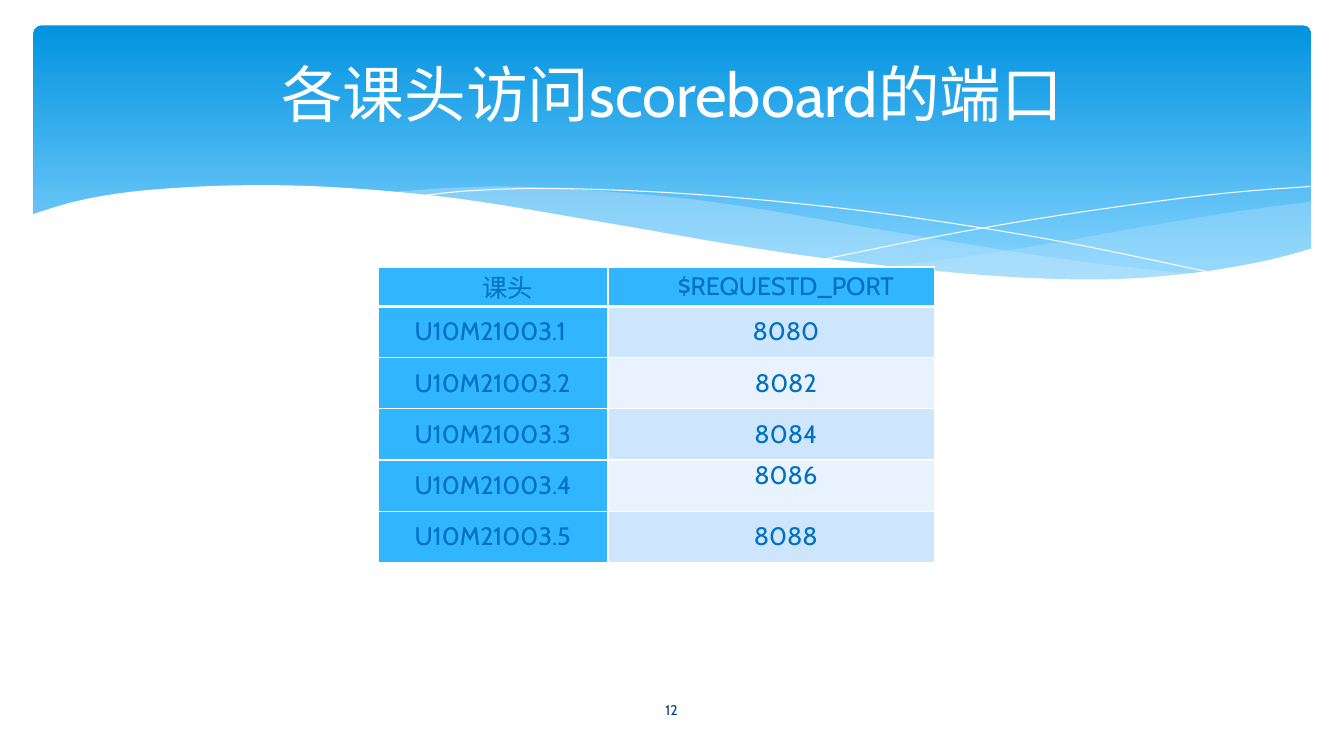
from lxml.etree import SubElement
from pptx import Presentation
from pptx.dml.color import RGBColor
from pptx.enum.shapes import MSO_SHAPE as Preset
from pptx.enum.text import MSO_ANCHOR as Anchor, PP_ALIGN as Align
from pptx.oxml.ns import qn
from pptx.util import Cm, Pt

FONT = "Cabin"
WHITE = RGBColor(0xFF, 0xFF, 0xFF)
BANNER_TOP = RGBColor(0x02, 0x93, 0xE0)
BANNER_BOTTOM = RGBColor(0x83, 0xD3, 0xFE)
SWELL = RGBColor(0xC6, 0xE7, 0xFC)
PORT_TEXT = RGBColor(0x00, 0x70, 0xC0)
NUMBER_TEXT = RGBColor(0x07, 0x3E, 0x87)
COURSE_FILL = RGBColor(0x31, 0xB6, 0xFD)
BANDS = (RGBColor(0xE8, 0xF3, 0xFF), RGBColor(0xCE, 0xE5, 0xFE))

TITLE = "各课头访问scoreboard的端口"
PAGE_NUMBER = "12"
PORTS = [
    ("课头", "$REQUESTD_PORT"),
    ("U10M21003.1", "8080"),
    ("U10M21003.2", "8082"),
    ("U10M21003.3", "8084"),
    ("U10M21003.4", "8086"),
    ("U10M21003.5", "8088"),
]
TOP_ANCHORED = "8086"
COLUMN_WIDTHS = (5.79, 8.23)
HEADER_HEIGHT, ROW_HEIGHT = 0.99, 1.29

RIGHT_SWELL = [
    [(33.05, 5.08), (31.17, 5.33), (29.13, 5.66), (26.37, 6.15), (23.9, 6.53), (22.4, 6.73)],
    [(22.4, 6.73), (24.33, 6.88), (26.82, 7.04), (28.9, 7.04), (30.66, 6.83),
     (32.16, 6.53), (33.05, 6.27)],
]
LEFT_SWELL = [
    [(30.23, 6.93), (27.33, 6.6), (25.12, 6.27), (21.31, 5.64), (18.8, 5.21),
     (16.56, 4.93), (13.51, 4.72), (11.66, 4.72), (9.7, 4.85)],
    [(9.7, 4.85), (12.27, 5.16), (15.21, 5.64), (19.18, 6.3), (22.53, 6.76),
     (25.35, 7.01), (27.69, 7.06), (30.23, 6.93)],
]
FALLING_LINE = [
    [(10.46, 4.95), (11.94, 4.8), (14.1, 4.75), (17.27, 4.88), (20.6, 5.18),
     (23.55, 5.56), (26.92, 6.12), (30.73, 6.91)],
]
RISING_LINE = [
    [(20.78, 6.53), (23.55, 5.97), (26.29, 5.49), (29.34, 5.05), (31.29, 4.83), (33.02, 4.7)],
]
WHITE_WAVE = [
    [(33.1, 6.25), (31.85, 6.58), (30.05, 6.88), (27.86, 7.04), (25.2, 6.96),
     (21.92, 6.65), (18.8, 6.22), (15.14, 5.59), (11.51, 5.0), (8.46, 4.72),
     (5.97, 4.67), (3.61, 4.8), (2.01, 5.05), (0.79, 5.41)],
    [(0.79, 8.36), (33.1, 8.36)],
]
STEPS = 6


def smooth(knots):
    padded = [knots[0], *knots, knots[-1]]
    for a, b, c, d in zip(padded, padded[1:], padded[2:], padded[3:]):
        for step in range(STEPS):
            t = step / STEPS
            yield tuple(
                (2 * q + (r - p) * t + (2 * p - 5 * q + 4 * r - s) * t ** 2
                 + (3 * q - p - 3 * r + s) * t ** 3) / 2
                for p, q, r, s in zip(a, b, c, d))
    yield knots[-1]


def add_wave(shapes, edges, color, opacity=100, closed=True):
    points = [(Cm(x), Cm(y)) for edge in edges for x, y in smooth(edge)]
    outline = shapes.build_freeform(*points[0])
    outline.add_line_segments(points[1:], close=closed)
    wave = outline.convert_to_shape()
    wave.shadow.inherit = False
    if closed:
        wave.fill.solid()
        wave.fill.fore_color.rgb = color
        wave.line.fill.background()
        if opacity < 100:
            tint = wave.fill._xPr.find(".//" + qn("a:srgbClr"))
            SubElement(tint, qn("a:alpha"), val=str(opacity * 1000))
    else:
        wave.fill.background()
        wave.line.color.rgb = color
        wave.line.width = Pt(0)


def write(frame, text, size, color, align=Align.CENTER):
    paragraph = frame.paragraphs[0]
    paragraph.alignment = align
    run = paragraph.add_run()
    run.text = text
    run.font.name = FONT
    run.font.size = Pt(size)
    run.font.bold = False
    run.font.color.rgb = color
    return paragraph


def add_label(shapes, box, text, size, color):
    frame = shapes.add_textbox(*map(Cm, box)).text_frame
    frame.word_wrap = True
    frame.vertical_anchor = Anchor.MIDDLE
    write(frame, text, size, color)


def add_borders(cell, widths):
    properties = cell._tc.get_or_add_tcPr()
    for position, (side, width) in enumerate(widths.items()):
        edge = SubElement(properties, qn("a:" + side), w=str(Pt(width)))
        fill = SubElement(edge, qn("a:solidFill"))
        SubElement(fill, qn("a:srgbClr"), val=str(WHITE))
        properties.insert(position, edge)


def add_banner(shapes):
    banner = shapes.add_shape(Preset.ROUNDED_RECTANGLE, Cm(0.84), Cm(0.64), Cm(32.21), Cm(6.86))
    banner.adjustments[0] = 0.03
    banner.shadow.inherit = False
    banner.line.fill.background()
    banner.fill.gradient()
    banner.fill.gradient_angle = 270
    stops = ((0, BANNER_TOP), (0.9, BANNER_BOTTOM))
    for stop, (position, color) in zip(banner.fill.gradient_stops, stops):
        stop.position = position
        stop.color.rgb = color


def add_ports(shapes):
    height = HEADER_HEIGHT + ROW_HEIGHT * (len(PORTS) - 1)
    table = shapes.add_table(len(PORTS), len(COLUMN_WIDTHS), Cm(9.53), Cm(6.73),
                             Cm(sum(COLUMN_WIDTHS)), Cm(height)).table
    table.first_row = table.horz_banding = False
    for column, width in zip(table.columns, COLUMN_WIDTHS):
        column.width = Cm(width)
    for r, entries in enumerate(PORTS):
        table.rows[r].height = Cm(ROW_HEIGHT if r else HEADER_HEIGHT)
        for c, text in enumerate(entries):
            cell = table.cell(r, c)
            cell.margin_left = cell.margin_right = Cm(0.18)
            cell.margin_top = cell.margin_bottom = 0
            cell.vertical_anchor = Anchor.TOP if text == TOP_ANCHORED else Anchor.MIDDLE
            cell.fill.solid()
            cell.fill.fore_color.rgb = BANDS[r % 2] if r and c else COURSE_FILL
            add_borders(cell, {"lnL": 1, "lnR": 1, "lnT": 1, "lnB": 1 if r else 3})
            align = Align.JUSTIFY if r and not c else Align.CENTER
            paragraph = write(cell.text_frame, text, 18, PORT_TEXT, align)
            paragraph._p.get_or_add_pPr().set("indent", str(Cm(0.74)))


def main():
    deck = Presentation()
    deck.slide_width, deck.slide_height = Cm(33.87), Cm(19.05)
    shapes = deck.slides.add_slide(deck.slide_layouts[6]).shapes
    add_banner(shapes)
    add_wave(shapes, RIGHT_SWELL, SWELL, opacity=29)
    add_wave(shapes, LEFT_SWELL, SWELL, opacity=40)
    add_wave(shapes, FALLING_LINE, WHITE, closed=False)
    add_wave(shapes, RISING_LINE, WHITE, closed=False)
    add_wave(shapes, WHITE_WAVE, WHITE)
    add_ports(shapes)
    add_label(shapes, (5.51, 0.94, 22.86, 2.79), TITLE, 44, WHITE)
    add_label(shapes, (14.78, 17.37, 4.29, 1.02), PAGE_NUMBER, 10, NUMBER_TEXT)
    deck.save("out.pptx")


if __name__ == "__main__":
    main()
